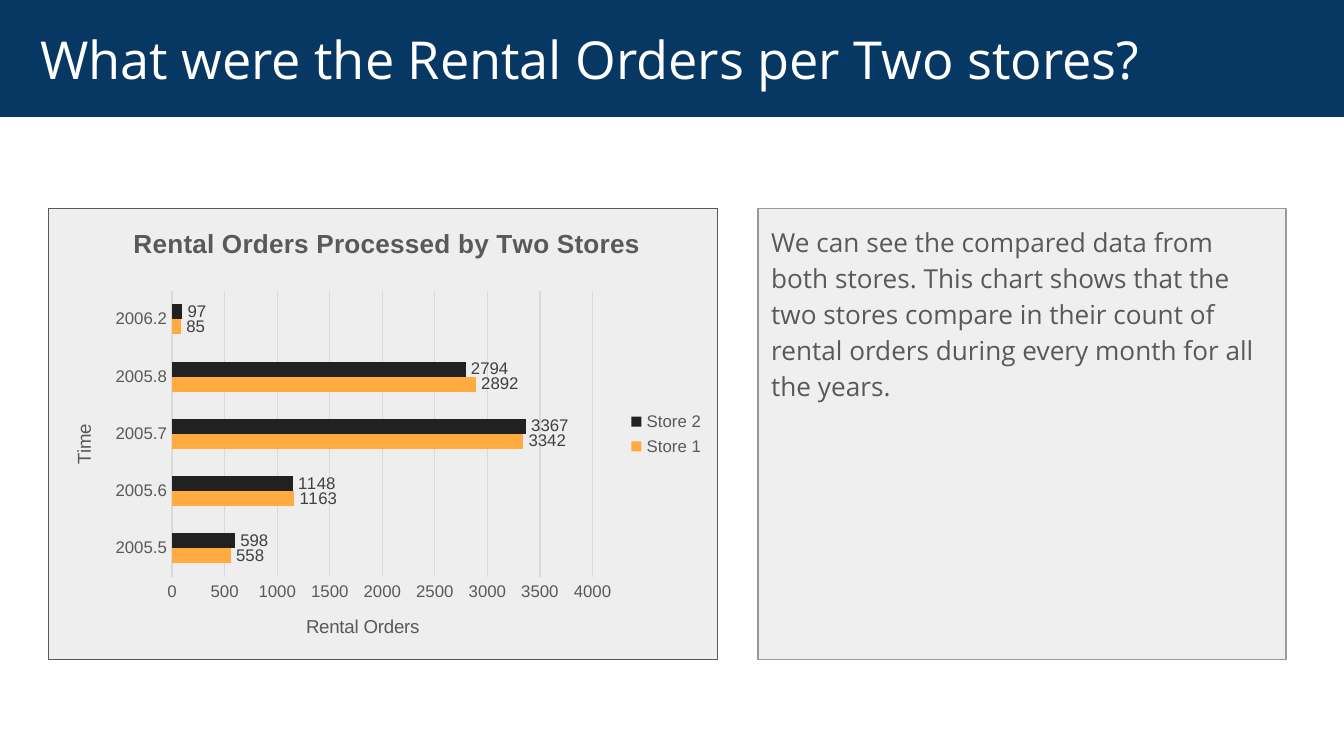
from lxml import etree
from pptx import Presentation
from pptx import util as u
from pptx.chart.data import CategoryChartData
from pptx.dml.color import RGBColor
from pptx.enum import chart as ch, shapes, text
from pptx.oxml.ns import qn

TITLE = "What were the Rental Orders per Two stores?"
BODY = ("We can see the compared data from both stores. This chart shows that the "
        "two stores compare in their count of rental orders during every month for "
        "all the years.")
MONTHS = ["2005.5", "2005.6", "2005.7", "2005.8", "2006.2"]
STORES = [
    ("Store 1", "FFAB40", [558, 1163, 3342, 2892, 85]),
    ("Store 2", "212121", [598, 1148, 3367, 2794, 97]),
]
CHART_TITLE = "Rental Orders Processed by Two Stores"
GREY, GRID = "595959", "D9D9D9"
W = 10
H = W * 9 / 16
TOP, TALL = 1.55, 3.36
BANNER = (0, 0, W, 0.87)
PANEL = (0.36, TOP, 4.98, TALL)
CHART = (0.36, TOP + 0.07, 4.98, TALL - 0.14)
NOTE = (5.64, TOP, 3.93, TALL)
HEADING_FONT = dict(name="Open Sans", size=28, color="FFFFFF")
NOTE_FONT = dict(name="Open Sans", size=14, color=GREY)
CHART_TITLE_FONT = dict(name="Arial", size=14, bold=True, color=GREY)
AXIS_TITLE_FONT = dict(name="Arial", size=10, bold=False, color=GREY)
TICK_FONT = dict(name="Arial", size=9, color=GREY)
LABEL_FONT = dict(name="Arial", size=9, color="404040")


def rgb(value):
    """Turn a hex string into a colour."""
    return RGBColor.from_string(value)


def set_font(font, values):
    """Apply a dict of format values to a font."""
    for key, value in values.items():
        if key == "color":
            font.color.rgb = rgb(value)
        else:
            setattr(font, key, u.Pt(value) if key == "size" else value)


def set_box(sp, box):
    """Move and size a shape, in inches."""
    for key, value in zip(("left", "top", "width", "height"), box):
        setattr(sp, key, u.Inches(value))


def paint(sp, fill, line=None):
    """Set the fill and outline of a shape."""
    sp.fill.solid()
    sp.fill.fore_color.rgb = rgb(fill)
    if line:
        sp.line.color.rgb = rgb(line)
        sp.line.width = u.Pt(0.75)
    else:
        sp.line.fill.background()


def write(sp, words, font, anchor, left=0.1):
    """Write one left-aligned paragraph in a shape."""
    tf = sp.text_frame
    values = dict(word_wrap=True, auto_size=text.MSO_AUTO_SIZE.NONE, vertical_anchor=anchor,
                  margin_left=u.Inches(left), margin_right=u.Inches(0.1),
                  margin_top=u.Inches(0.1), margin_bottom=u.Inches(0.1))
    for key, value in values.items():
        setattr(tf, key, value)
    p = tf.paragraphs[0]
    p.alignment = text.PP_ALIGN.LEFT
    r = p.add_run()
    r.text = words
    set_font(r.font, font)
    return p


def place(parent, index, **shares):
    """Give a chart part a manual layout in shares of the chart."""
    for old in parent.findall(qn("c:layout")):
        parent.remove(old)
    layout = etree.Element(qn("c:layout"))
    manual = etree.SubElement(layout, qn("c:manualLayout"))
    if "w" in shares:
        etree.SubElement(manual, qn("c:layoutTarget")).set("val", "inner")
    for key in ("x", "y"):
        etree.SubElement(manual, qn(f"c:{key}Mode")).set("val", "edge")
    for key, value in shares.items():
        etree.SubElement(manual, qn(f"c:{key}")).set("val", str(value))
    parent.insert(index, layout)


def add_title(owner, words, font, x, y):
    """Title a chart or an axis at a given place."""
    owner.has_title = True
    title = owner.chart_title if hasattr(owner, "chart_title") else owner.axis_title
    r = title.text_frame.paragraphs[0].add_run()
    r.text = words
    set_font(r.font, font)
    place(title._element, 1, x=x, y=y)


def add_orders_chart(slide):
    """Add the clustered bars of both stores."""
    data = CategoryChartData()
    data.categories = MONTHS
    for name, _, values in STORES:
        data.add_series(name, values)
    box = [u.Inches(v) for v in CHART]
    chart = slide.shapes.add_chart(ch.XL_CHART_TYPE.BAR_CLUSTERED, *box, data).chart
    set_font(chart.font, TICK_FONT)
    add_title(chart, CHART_TITLE, CHART_TITLE_FONT, 0.12, 0.01)
    add_title(chart.category_axis, "Time", AXIS_TITLE_FONT, 0.03, 0.47)
    add_title(chart.value_axis, "Rental Orders", AXIS_TITLE_FONT, 0.38, 0.91)

    for axis in (chart.category_axis, chart.value_axis):
        axis.major_tick_mark = axis.minor_tick_mark = ch.XL_TICK_MARK.NONE
        set_font(axis.tick_labels.font, TICK_FONT)
    chart.category_axis.has_major_gridlines = False
    chart.value_axis.has_major_gridlines = True
    chart.value_axis.format.line.fill.background()
    for line in (chart.category_axis.format.line, chart.value_axis.major_gridlines.format.line):
        line.color.rgb = rgb(GRID)
        line.width = u.Pt(0.75)

    chart.has_legend = True
    chart.legend.position = ch.XL_LEGEND_POSITION.RIGHT
    chart.legend.include_in_layout = False
    set_font(chart.legend.font, TICK_FONT)

    plot = chart.plots[0]
    plot.gap_width, plot.overlap, plot.vary_by_categories = 182, 0, False
    for series, (_, color, _) in zip(plot.series, STORES):
        series.format.fill.solid()
        series.format.fill.fore_color.rgb = rgb(color)
        labels = series.data_labels
        labels.show_value = True
        labels.position = ch.XL_LABEL_POSITION.OUTSIDE_END
        set_font(labels.font, LABEL_FONT)
    place(chart._chartSpace.chart.plotArea, 0, x=0.185, y=0.169, w=0.628, h=0.661)


def main():
    """Build the rental orders slide."""
    prs = Presentation()
    prs.slide_width, prs.slide_height = u.Inches(W), u.Inches(H)
    slide = prs.slides.add_slide(prs.slide_layouts[5])

    heading = slide.shapes.title
    set_box(heading, BANNER)
    paint(heading, "073763")
    write(heading, TITLE, HEADING_FONT, text.MSO_ANCHOR.MIDDLE, left=0.3)

    for box, fill, line in ((NOTE, "EFEFEF", "999999"), (PANEL, "EEEEEE", GREY)):
        sp = slide.shapes.add_shape(shapes.MSO_SHAPE.RECTANGLE, *[u.Inches(v) for v in box])
        sp.shadow.inherit = False
        paint(sp, fill, line)
        if box == NOTE:
            p = write(sp, BODY, NOTE_FONT, text.MSO_ANCHOR.TOP)
            p.line_spacing = 1.15
            p.space_after = u.Pt(16)

    add_orders_chart(slide)
    prs.save("out.pptx")


if __name__ == "__main__":
    main()
